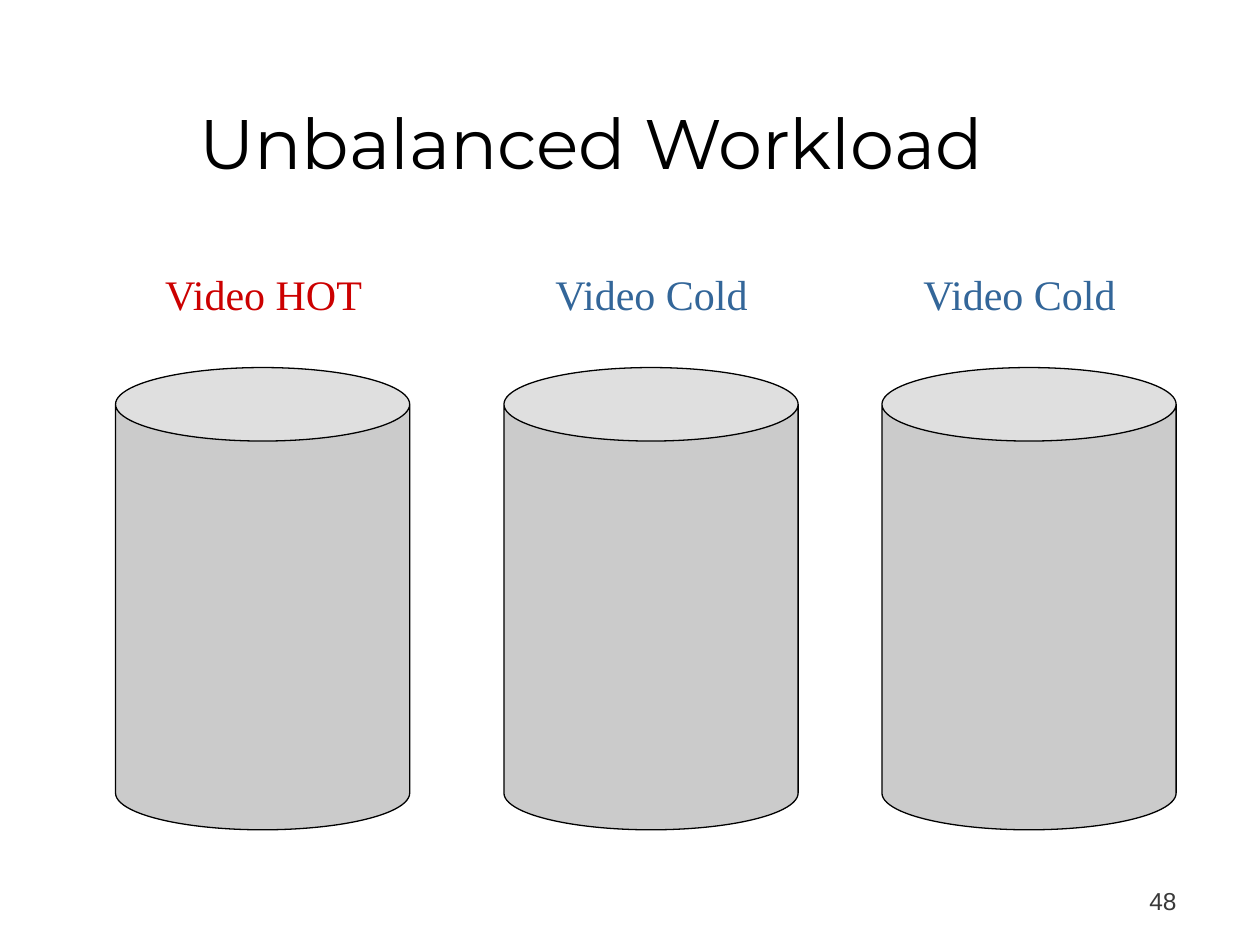
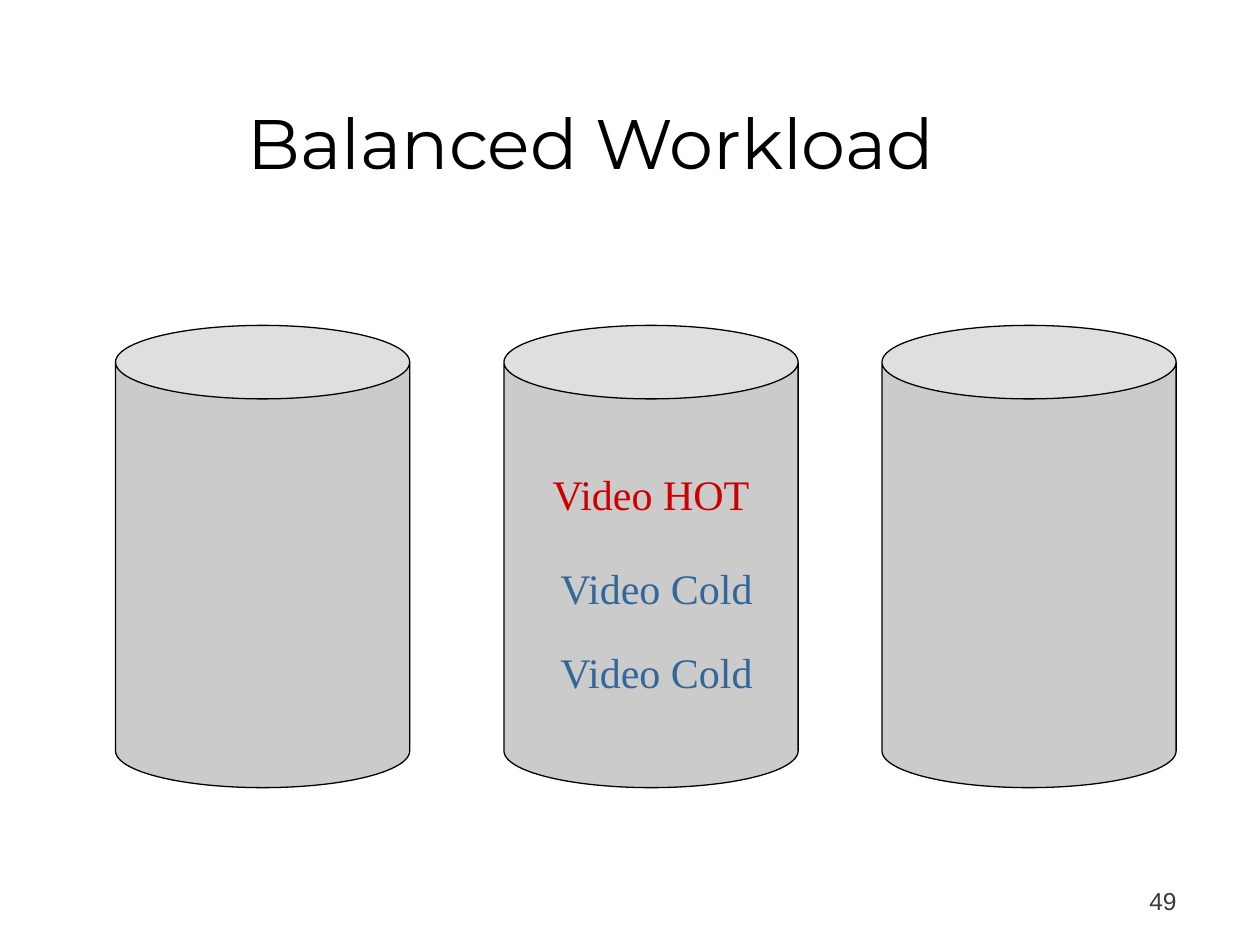
from pptx import Presentation
from pptx.dml.color import RGBColor
from pptx.enum.shapes import MSO_SHAPE as Shape
from pptx.enum.text import MSO_ANCHOR as Anchor, MSO_AUTO_SIZE as AutoSize, PP_ALIGN as Align
from pptx.util import Cm, Pt

BLACK, GREY, DISK_GREY = "000000", "393939", "CBCBCB"
HOT, COLD = ("Video HOT", "CC0000"), ("Video Cold", "336699")

TITLE_BOX = (1.12, 0.64, 21.59, 3.18)
NUMBER_BOX = (18.69, 17.3, 5.28, 1.27)
DISK_LEFTS = (2.33, 10.16, 17.78)
DISK_WIDTH, DISK_HEIGHT = 5.93, 9.32


def color(hex_string):
    return RGBColor.from_string(hex_string)


def place(shape, box):
    shape.left, shape.top, shape.width, shape.height = map(Cm, box)


def write(shape, text, *, font, size, fill, align=Align.CENTER, anchor=Anchor.TOP, wrap=True):
    frame = shape.text_frame
    frame.text = text
    frame.auto_size = AutoSize.NONE
    frame.word_wrap = wrap
    frame.vertical_anchor = anchor
    paragraph = frame.paragraphs[0]
    paragraph.alignment = align
    run_font = paragraph.runs[0].font
    run_font.name, run_font.size = font, Pt(size)
    run_font.color.rgb = color(fill)


def add_text(slide, box, text, **text_format):
    write(slide.shapes.add_textbox(*map(Cm, box)), text, **text_format)


def add_disks(slide, top):
    for left in DISK_LEFTS:
        disk = slide.shapes.add_shape(
            Shape.CAN, Cm(left), Cm(top), Cm(DISK_WIDTH), Cm(DISK_HEIGHT))
        disk.adjustments[0] = 0.25
        disk.shadow.inherit = False
        disk.fill.solid()
        disk.fill.fore_color.rgb = color(DISK_GREY)
        disk.line.color.rgb = color(BLACK)
        disk.line.width = Pt(0.75)


def add_video(slide, video, box):
    name, fill = video
    add_text(slide, box, name, font="Times New Roman", size=24, fill=fill, wrap=False)


def add_workload_slide(presentation, title, number, disk_top, videos):
    """Add a slide with three disks and (video, box) labels over them."""
    slide = presentation.slides.add_slide(presentation.slide_layouts[5])
    place(slide.shapes.title, TITLE_BOX)
    write(slide.shapes.title, title, font="Montserrat", size=40, fill=BLACK,
          anchor=Anchor.BOTTOM)
    add_disks(slide, disk_top)
    for video, box in videos:
        add_video(slide, video, box)
    add_text(slide, NUMBER_BOX, str(number), font="Arial", size=14, fill=GREY,
             align=Align.RIGHT, anchor=Anchor.BOTTOM)


def main():
    presentation = Presentation()
    presentation.slide_width, presentation.slide_height = Cm(25.4), Cm(19.05)
    add_workload_slide(presentation, "Unbalanced Workload", 48, 7.41, [
        (video, (left, 5.29, 4.27, 1.45))
        for video, left in ((HOT, 3.18), (COLD, 11), (COLD, 18.42))])
    add_workload_slide(presentation, "Balanced Workload", 49, 6.56, [
        (HOT, (3.18, 9.31, 19.89, 0.85)),
        (COLD, (3.39, 11.22, 19.69, 1.06)),
        (COLD, (3.39, 12.91, 19.69, 1.06))])
    presentation.save("out.pptx")


if __name__ == "__main__":
    main()
